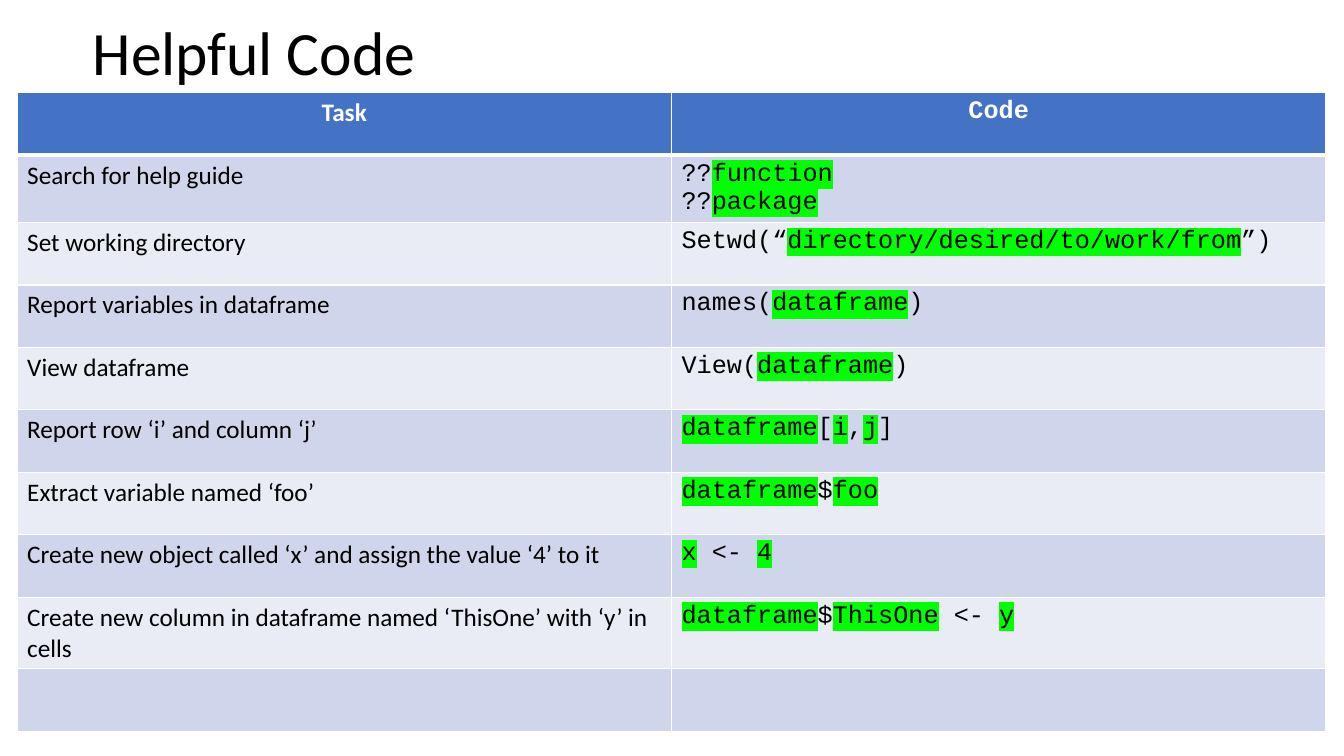
from lxml import etree
from pptx import Presentation
from pptx.dml.color import RGBColor
from pptx.enum.text import MSO_ANCHOR, MSO_AUTO_SIZE, PP_ALIGN
from pptx.oxml.ns import qn
from pptx.util import Inches, Pt

LEFT = PP_ALIGN.LEFT
CENTER = PP_ALIGN.CENTER
MIDDLE = MSO_ANCHOR.MIDDLE
FIXED = MSO_AUTO_SIZE.NONE

BLACK = RGBColor(0x00, 0x00, 0x00)
WHITE = RGBColor(0xFF, 0xFF, 0xFF)
BLUE = RGBColor(0x44, 0x72, 0xC4)
BANDS = [RGBColor(0xE9, 0xEB, 0xF5), RGBColor(0xCF, 0xD5, 0xEA)]
GREEN = RGBColor(0x00, 0xFF, 0x00)

SANS = "Calibri"
MONO = "Courier New"
MARK = "|"

ROWS = [
    ("Task", "Code"),
    ("Search for help guide", "??|function\n??|package"),
    ("Set working directory", "Setwd(“|directory/desired/to/work/from|”)"),
    ("Report variables in dataframe", "names(|dataframe|)"),
    ("View dataframe", "View(|dataframe|)"),
    ("Report row ‘i’ and column ‘j’", "|dataframe|[|i|,|j|]"),
    ("Extract variable named ‘foo’", "|dataframe|$|foo"),
    ("Create new object called ‘x’ and assign the value ‘4’ to it", "|x| <- |4"),
    ("Create new column in dataframe named ‘ThisOne’ with ‘y’ in cells",
     "|dataframe|$|ThisOne| <- |y"),
    ("", ""),
]


def add_run(para, text, face, size, color, bold=False, marked=False):
    run = para.add_run()
    run.text = text
    font = run.font
    font.size = Pt(size)
    font.bold = bold
    font.color.rgb = color
    if marked:
        light = etree.SubElement(font._element, qn("a:highlight"))
        etree.SubElement(light, qn("a:srgbClr"), val=str(GREEN))
    font.name = face


def add_title(slide, text, left, top, width, height):
    title = slide.shapes.title
    title.left, title.top = Inches(left), Inches(top)
    title.width, title.height = Inches(width), Inches(height)
    frame = title.text_frame
    frame.auto_size = FIXED
    frame.word_wrap = True
    frame.vertical_anchor = MIDDLE
    para = frame.paragraphs[0]
    para.alignment = LEFT
    para.line_spacing = 0.9
    add_run(para, text, SANS, 44, BLACK)


def set_borders(cell, head, below):
    props = cell._tc.get_or_add_tcPr()
    for side in "LRTB":
        thick = side == "B" and head or side == "T" and below
        line = etree.SubElement(props, qn(f"a:ln{side}"), w=str(Pt(3 if thick else 1)))
        fill = etree.SubElement(line, qn("a:solidFill"))
        etree.SubElement(fill, qn("a:srgbClr"), val=str(WHITE))


def fill_cell(cell, text, face, row):
    head = row == 0
    set_borders(cell, head, row == 1)
    cell.fill.solid()
    cell.fill.fore_color.rgb = BLUE if head else BANDS[row % 2]
    frame = cell.text_frame
    for index, line in enumerate(text.split("\n")):
        para = frame.add_paragraph() if index else frame.paragraphs[0]
        para.alignment = CENTER if head else LEFT
        for order, part in enumerate(line.split(MARK)):
            if part:
                add_run(para, part, face, 18, WHITE if head else BLACK,
                        head, order % 2 == 1)


def add_grid(slide, rows, left, top, width, height):
    frame = slide.shapes.add_table(len(rows), 2, Inches(left), Inches(top),
                                   Inches(width), Inches(height))
    table = frame.table
    for column in table.columns:
        column.width = Inches(width / 2)
    for row, texts in enumerate(rows):
        table.rows[row].height = Inches(height / len(rows))
        for col, (text, face) in enumerate(zip(texts, (SANS, MONO))):
            fill_cell(table.cell(row, col), text, face, row)


def main():
    deck = Presentation()
    deck.slide_width, deck.slide_height = Inches(13.33), Inches(7.5)
    slide = deck.slides.add_slide(deck.slide_layouts[5])
    add_title(slide, "Helpful Code", 0.82, 0, 11.5, 1.1)
    add_grid(slide, ROWS, 0.17, 0.92, 12.98, 6.2)
    deck.save("out.pptx")


if __name__ == "__main__":
    main()
